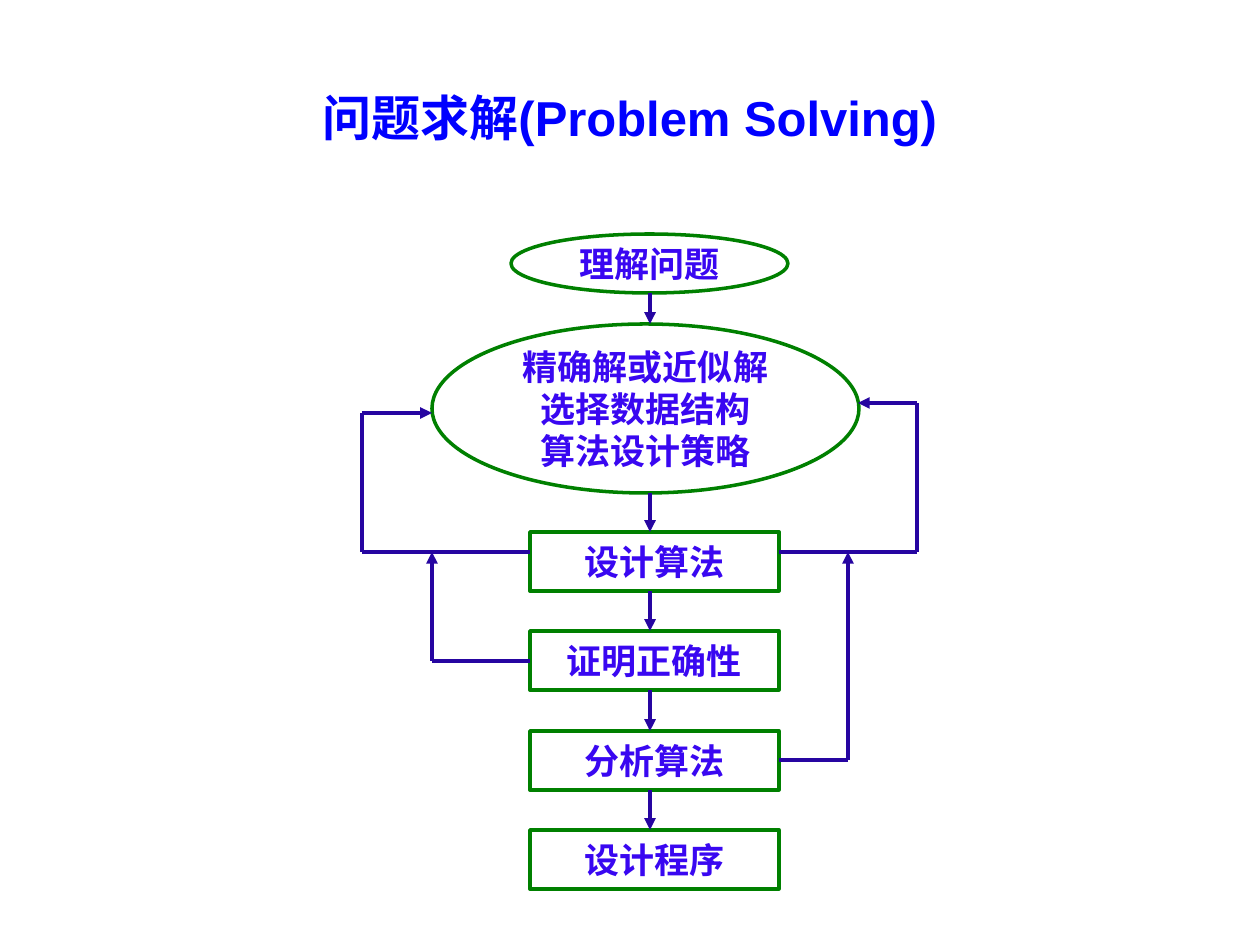
from itertools import pairwise

from lxml import etree
from pptx import Presentation
from pptx import util as u
from pptx.dml.color import RGBColor
from pptx.enum import shapes, text
from pptx.oxml.ns import qn

# Content: kind, left, top, width, height in px, lines of text
TITLE = "问题求解(Problem Solving)"
OVAL, RECT = shapes.MSO_SHAPE.OVAL, shapes.MSO_SHAPE.RECTANGLE
BOX_LEFT, BOX_RIGHT, BOX_HEIGHT = 530, 779, 59
STEPS = [
    (OVAL, 511, 234, 277, BOX_HEIGHT, ["理解问题"]),
    (OVAL, 432, 324, 427, 169, ["精确解或近似解", "选择数据结构", "算法设计策略"]),
]
STEPS += [
    (RECT, BOX_LEFT, top, BOX_RIGHT - BOX_LEFT, BOX_HEIGHT, [label])
    for top, label in [(532, "设计算法"), (631, "证明正确性"),
                       (731, "分析算法"), (830, "设计程序")]
]

# Feedback paths: corner points, with the arrowhead at the last one
FLOW_X, DESIGN_Y = 650, 552
FEEDBACK = [
    [(BOX_LEFT, DESIGN_Y), (362, DESIGN_Y), (362, 413), (432, 413)],
    [(BOX_RIGHT, DESIGN_Y), (917, DESIGN_Y), (917, 403), (858, 403)],
    [(BOX_LEFT, 661), (432, 661), (432, DESIGN_Y)],
    [(BOX_RIGHT, 760), (848, 760), (848, DESIGN_Y)],
]

COLORS = {"title": "0000FF", "label": "3907F1", "border": "008000", "arrow": "2605A1"}
TITLE_FONT = {"name": "Arial", "size": u.Pt(28), "bold": True}
LABEL_FONT = {"name": "Arial", "size": u.Pt(20), "bold": True}
SCALE = 914400 / 126


def px(value):
    return u.Emu(round(value * SCALE))


def color(name):
    return RGBColor.from_string(COLORS[name])


def write(frame, lines, font, color_name):
    frame.vertical_anchor = text.MSO_ANCHOR.MIDDLE
    for index, line in enumerate(lines):
        para = frame.paragraphs[0] if index == 0 else frame.add_paragraph()
        para.alignment = text.PP_ALIGN.CENTER
        span = para.add_run()
        span.text = line
        for name, value in font.items():
            setattr(span.font, name, value)
        span.font.color.rgb = color(color_name)


def add_step(page, kind, left, top, width, height, lines):
    box = page.shapes.add_shape(kind, px(left), px(top), px(width), px(height))
    box.shadow.inherit = False
    box.fill.background()
    box.line.color.rgb = color("border")
    box.line.width = u.Pt(2)
    box.text_frame.word_wrap = False
    write(box.text_frame, lines, LABEL_FONT, "label")


def add_path(page, points):
    for start, end in pairwise(points):
        line = page.shapes.add_connector(
            shapes.MSO_CONNECTOR.STRAIGHT, *map(px, start + end))
        line.line.color.rgb = color("arrow")
        line.line.width = u.Pt(2.25)
        properties = line._element.spPr
        etree.SubElement(properties, qn("a:effectLst"))
    # The last segment carries the arrowhead
    etree.SubElement(properties.find(qn("a:ln")), qn("a:tailEnd"), type="triangle")


def main():
    deck = Presentation()
    deck.slide_width, deck.slide_height = px(1260), px(945)
    page = deck.slides.add_slide(deck.slide_layouts[5])

    # Title
    title = page.shapes.title
    title.left, title.top, title.width, title.height = map(px, (63, 38, 1134, 158))
    write(title.text_frame, [TITLE], TITLE_FONT, "title")

    # Steps, and the arrows down between them
    for step in STEPS:
        add_step(page, *step)
    for (_, _, top, _, height, _), following in pairwise(STEPS):
        add_path(page, [(FLOW_X, top + height), (FLOW_X, following[2])])

    # Feedback to earlier steps
    for points in FEEDBACK:
        add_path(page, points)

    deck.save("out.pptx")


if __name__ == "__main__":
    main()
